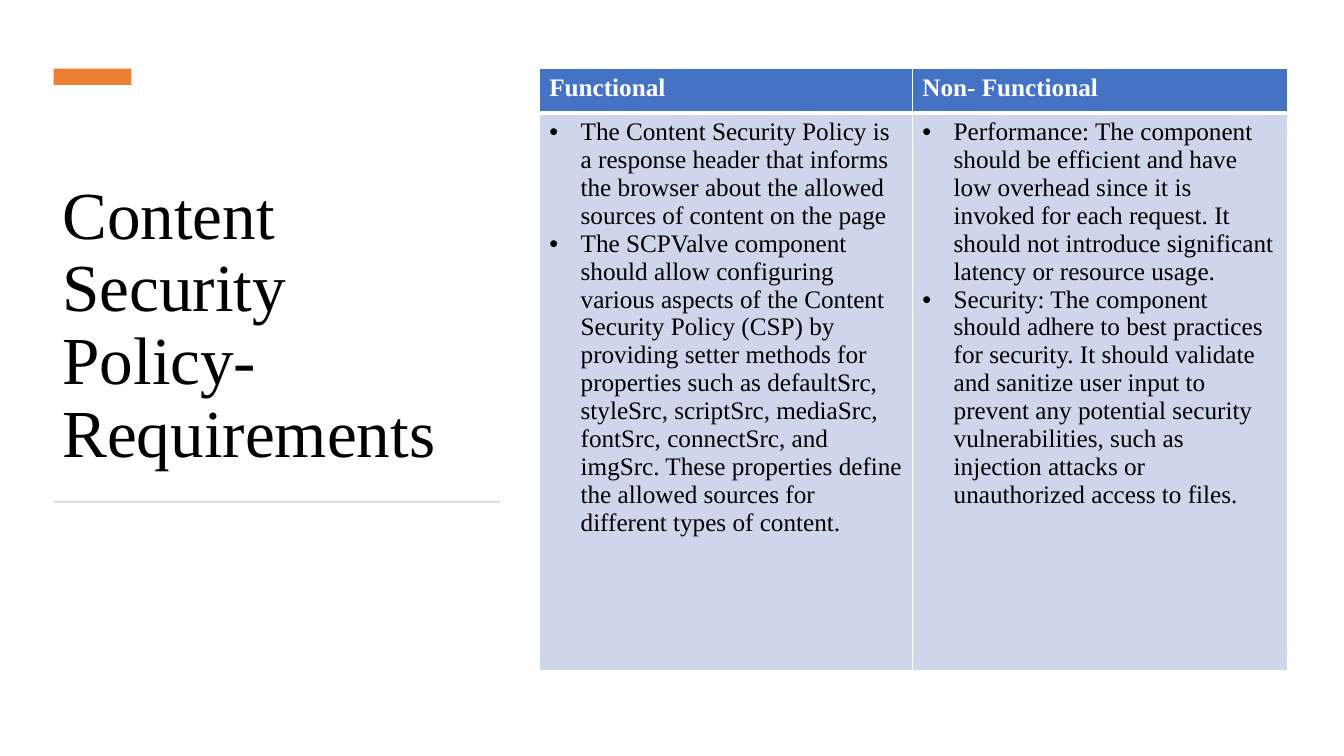
import pptx
import pptx.dml.color
import pptx.enum.shapes
import pptx.enum.text
import pptx.oxml
import pptx.oxml.ns
import pptx.util

Cm = pptx.util.Cm
Pt = pptx.util.Pt

COLORS = {
    "black": "000000",
    "white": "FFFFFF",
    "accent": "ED7D31",
    "divider": "D5D5D5",
    "header": "4472C4",
    "body": "CFD5EA",
}
FONT = "Times New Roman"

REQUIREMENTS = {
    "Functional": [
        "The Content Security Policy is a response header that informs the browser "
        "about the allowed sources of content on the page",
        "The SCPValve component should allow configuring various aspects of the "
        "Content Security Policy (CSP) by providing setter methods for properties "
        "such as defaultSrc, styleSrc, scriptSrc, mediaSrc, fontSrc, connectSrc, and "
        "imgSrc. These properties define the allowed sources for different types of "
        "content.",
    ],
    "Non- Functional": [
        "Performance: The component should be efficient and have low overhead since "
        "it is invoked for each request. It should not introduce significant latency "
        "or resource usage.",
        "Security: The component should adhere to best practices for security. It "
        "should validate and sanitize user input to prevent any potential security "
        "vulnerabilities, such as injection attacks or unauthorized access to files.",
    ],
}


def rgb(name):
    return pptx.dml.color.RGBColor.from_string(COLORS[name])


def write_text(paragraph, text, size=18, color="black", bold=False, bullet=False,
               line_spacing=None):
    run = paragraph.add_run()
    run.text = text
    run.font.name = FONT
    run.font.size = Pt(size)
    run.font.bold = bold
    run.font.color.rgb = rgb(color)
    paragraph.alignment = pptx.enum.text.PP_ALIGN.LEFT
    if line_spacing:
        paragraph.line_spacing = line_spacing
    if bullet:
        properties = paragraph._p.get_or_add_pPr()
        properties.set("marL", str(Cm(0.79)))
        properties.set("indent", str(-Cm(0.79)))
        namespace = pptx.oxml.ns.nsdecls("a")
        for tag in ('buFont typeface="Arial"', 'buChar char="•"'):
            properties.append(pptx.oxml.parse_xml(f"<a:{tag} {namespace}/>"))


class SlideBuilder:
    """Holds the slide and adds its styled elements."""

    def __init__(self, presentation):
        self.slide = presentation.slides.add_slide(presentation.slide_layouts[5])

    def title(self, text, left, top, width, height):
        shape = self.slide.shapes.title
        shape.left, shape.top = Cm(left), Cm(top)
        shape.width, shape.height = Cm(width), Cm(height)
        frame = shape.text_frame
        frame.word_wrap = True
        frame.auto_size = pptx.enum.text.MSO_AUTO_SIZE.NONE
        frame.vertical_anchor = pptx.enum.text.MSO_ANCHOR.BOTTOM
        write_text(frame.paragraphs[0], text, size=48, line_spacing=0.9)

    def bar(self, color, left, top, width, height):
        shape = self.slide.shapes.add_shape(
            pptx.enum.shapes.MSO_SHAPE.RECTANGLE,
            Cm(left), Cm(top), Cm(width), Cm(height))
        shape.shadow.inherit = False
        shape.fill.solid()
        shape.fill.fore_color.rgb = rgb(color)
        shape.line.fill.background()

    def style_cell(self, cell, fill, top=1, bottom=1):
        properties = cell._tc.get_or_add_tcPr()
        for side, points in (("L", 1), ("R", 1), ("T", top), ("B", bottom)):
            properties.append(pptx.oxml.parse_xml(
                f'<a:ln{side} {pptx.oxml.ns.nsdecls("a")} w="{Pt(points)}">'
                f'<a:solidFill><a:srgbClr val="{COLORS["white"]}"/></a:solidFill>'
                f'</a:ln{side}>'))
        cell.fill.solid()
        cell.fill.fore_color.rgb = rgb(fill)

    def table(self, columns, left, top, widths, heights):
        table = self.slide.shapes.add_table(
            len(heights), len(widths), Cm(left), Cm(top),
            Cm(sum(widths)), Cm(sum(heights))).table
        for row, height in zip(table.rows, heights):
            row.height = Cm(height)
        for index, (heading, items) in enumerate(columns.items()):
            table.columns[index].width = Cm(widths[index])
            header, body = table.cell(0, index), table.cell(1, index)
            self.style_cell(header, "header", bottom=3)
            self.style_cell(body, "body", top=3)
            write_text(header.text_frame.paragraphs[0], heading,
                       color="white", bold=True)
            frame = body.text_frame
            for number, item in enumerate(items):
                paragraph = frame.add_paragraph() if number else frame.paragraphs[0]
                write_text(paragraph, item, bullet=True)


def main():
    presentation = pptx.Presentation()
    presentation.slide_width = Cm(33.87)
    presentation.slide_height = Cm(19.05)
    builder = SlideBuilder(presentation)

    # Title with accent bar above and divider below
    builder.title("Content Security Policy- Requirements", 1.32, 3.12, 11.18, 8.89)
    builder.bar("accent", 1.35, 1.73, 1.96, 0.41)
    builder.bar("divider", 1.35, 12.62, 11.25, 0.05)

    # Requirements table
    builder.table(REQUIREMENTS, 13.59, 1.73, widths=[9.4, 9.47], heights=[1.12, 14.05])

    presentation.save("out.pptx")


if __name__ == "__main__":
    main()
